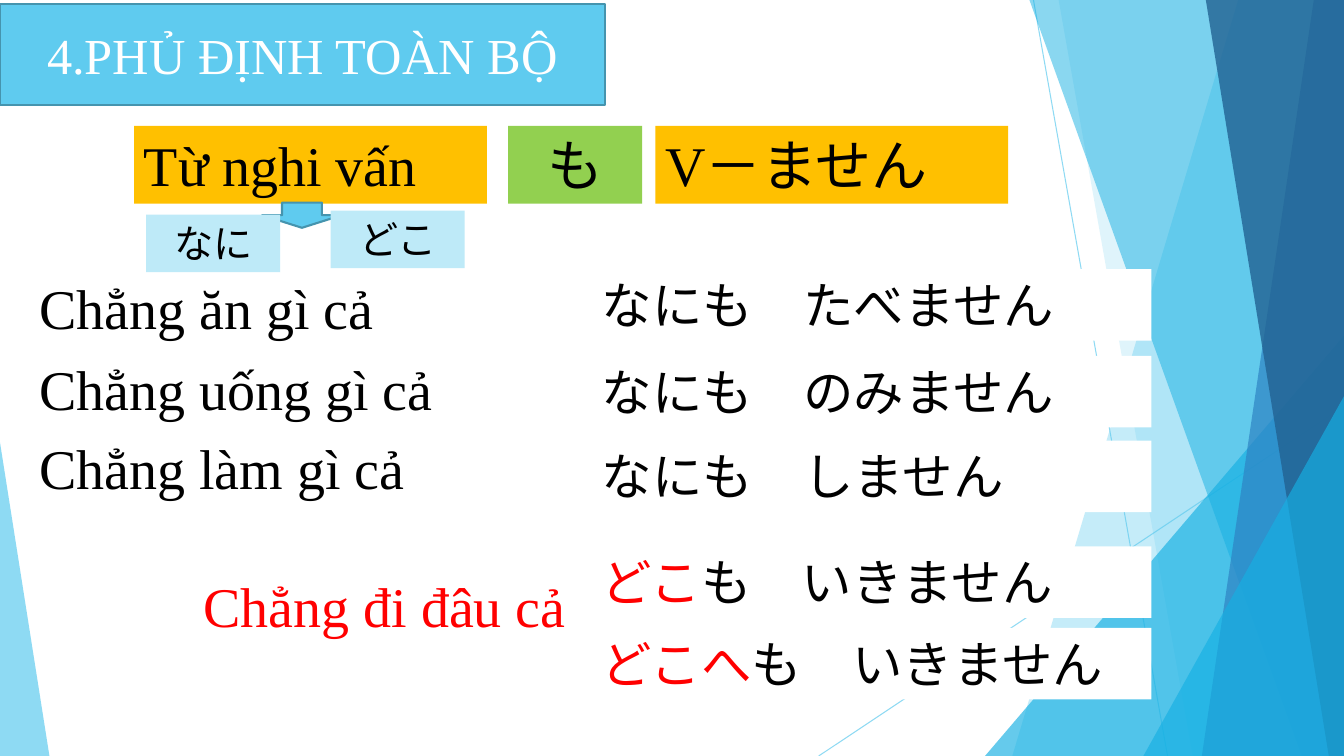
from dataclasses import dataclass

from lxml import etree
from pptx import Presentation
from pptx import util as u
from pptx.dml.color import RGBColor
from pptx.enum import shapes, text
from pptx.oxml.ns import qn

In = u.Inches
WIDTH, HEIGHT = 13.33, 7.5


@dataclass(frozen=True)
class Theme:
    font: str = "Times New Roman"
    ink: str = "000000"
    white: str = "FFFFFF"
    red: str = "FF0000"
    sky: str = "5FCBEF"
    pale_sky: str = "BEEAF8"
    outline: str = "4594AE"
    cyan: str = "16B0E3"
    blue: str = "2E83C3"
    navy: str = "226292"
    amber: str = "FFC000"
    green: str = "92D050"
    large: int = 40
    medium: int = 36
    small: int = 28


THEME = Theme()
LEFT, CENTER = text.PP_ALIGN.LEFT, text.PP_ALIGN.CENTER
SHAPE = shapes.MSO_SHAPE


def paint(fill, color, opacity=100):
    fill.solid()
    fill.fore_color.rgb = RGBColor.from_string(color)
    if opacity < 100:
        for node in fill._xPr.iter(qn("a:srgbClr")):
            etree.SubElement(node, qn("a:alpha"), val=str(opacity * 1000))


def style_shape(shape, color, opacity=100, outline=None):
    paint(shape.fill, color, opacity)
    if outline:
        paint(shape.line.fill, outline)
        shape.line.width = u.Pt(1.5)
    else:
        shape.line.fill.background()


def add_preset(page, kind, area, color, adjust=None, **style):
    shape = page.shapes.add_shape(kind, *map(In, area))
    shape.shadow.inherit = False
    if adjust is not None:
        shape.adjustments[0] = adjust
    style_shape(shape, color, **style)
    return shape


def add_polygon(page, points, color, opacity):
    corners = [(In(x), In(y)) for x, y in points]
    builder = page.shapes.build_freeform(*corners[0], scale=1.0)
    builder.add_line_segments(corners[1:], close=True)
    shape = builder.convert_to_shape()
    shape.shadow.inherit = False
    style_shape(shape, color, opacity)


def add_thin_line(page, start, end):
    line = page.shapes.add_connector(
        shapes.MSO_CONNECTOR.STRAIGHT, *map(In, start + end))
    paint(line.line.fill, THEME.sky, 70)
    line.line.width = u.Pt(0.75)
    etree.SubElement(line._element.spPr, qn("a:effectLst"))


def write(shape, *parts, size=THEME.large, align=LEFT, anchor=text.MSO_ANCHOR.TOP):
    """Fill one paragraph from (wording, colour) parts."""
    frame = shape.text_frame
    frame.word_wrap = True
    frame.vertical_anchor = anchor
    para = frame.paragraphs[0]
    para.alignment = align
    for wording, color in parts:
        span = para.add_run()
        span.text = wording
        span.font.name = THEME.font
        span.font.size = u.Pt(size)
        span.font.color.rgb = RGBColor.from_string(color)


def add_label(page, area, color, *parts, **text_format):
    box = add_preset(page, SHAPE.RECTANGLE, area, color)
    write(box, *parts, **text_format)


def add_phrase(page, area, wording, color=THEME.ink):
    write(page.shapes.add_textbox(*map(In, area)), (wording, color))


def add_facets(page):
    """Draw the translucent blue facets along both edges."""
    add_thin_line(page, (10.25, 0), (11.58, HEIGHT))
    add_thin_line(page, (WIDTH, 4.03), (8.12, HEIGHT))

    def facet(top, bottom, color, opacity):
        points = [(top, 0), (WIDTH, 0), (WIDTH, HEIGHT), (bottom, HEIGHT)]
        add_polygon(page, points, color, opacity)

    def corner(left, top, width, color, opacity, apex):
        area = (left, top, width, HEIGHT - top)
        add_preset(page, SHAPE.ISOSCELES_TRIANGLE, area, color,
                   adjust=apex, opacity=opacity)

    facet(12.28, 10.04, THEME.sky, 36)
    facet(10.5, 11.83, THEME.sky, 20)
    corner(9.77, 3.33, 3.56, THEME.cyan, 66, apex=1)
    facet(10.21, 12.91, THEME.cyan, 50)
    facet(13.03, 11.92, THEME.blue, 70)
    facet(11.96, 13.18, THEME.navy, 80)
    corner(11.34, 3.93, 1.99, THEME.cyan, 66, apex=1)
    corner(0, 4.39, 0.49, THEME.sky, 70, apex=0)


def add_title(page, wording):
    """Turn the title placeholder into a rounded banner."""
    title = page.shapes.title
    title.left, title.top, title.width, title.height = map(In, (0, 0.04, 6, 1))
    outline = etree.SubElement(title._element.spPr, qn("a:prstGeom"), prst="roundRect")
    etree.SubElement(outline, qn("a:avLst"))
    style_shape(title, THEME.sky, outline=THEME.outline)
    write(title, (wording, THEME.white), size=THEME.medium, align=CENTER,
          anchor=text.MSO_ANCHOR.MIDDLE)


def main():
    deck = Presentation()
    deck.slide_width, deck.slide_height = In(WIDTH), In(HEIGHT)
    page = deck.slides.add_slide(deck.slide_layouts.get_by_name("Title Only"))
    add_facets(page)
    add_title(page, "4.PHỦ ĐỊNH TOÀN BỘ")

    ink, red = THEME.ink, THEME.red
    for left, width, color, wording, align in (
        (1.33, 3.5, THEME.amber, "Từ nghi vấn", LEFT),
        (5.04, 1.33, THEME.green, "も", CENTER),
        (6.5, 3.5, THEME.amber, "V－ません", LEFT),
    ):
        add_label(page, (left, 1.25, width, 0.77), color, (wording, ink), align=align)

    for top, wording in ((2.66, "Chẳng ăn gì cả"), (3.47, "Chẳng uống gì cả"),
                         (4.25, "Chẳng làm gì cả")):
        add_phrase(page, (0.29, top, 4.62, 0.77), wording)
    add_phrase(page, (1.92, 5.62, 4.17, 0.77), "Chẳng đi đâu cả", red)

    add_preset(page, SHAPE.DOWN_ARROW, (2.6, 2.01, 0.79, 0.25), THEME.sky,
               outline=THEME.outline)
    for left, top, wording in ((1.45, 2.13, "なに"), (3.28, 2.09, "どこ")):
        add_label(page, (left, top, 1.33, 0.57), THEME.pale_sky, (wording, ink),
                  size=THEME.small, align=CENTER)

    for top, *parts in (
        (2.67, ("なにも　たべません", ink)),
        (3.53, ("なにも　のみません", ink)),
        (4.37, ("なにも　しません", ink)),
        (5.42, ("どこ", red), ("も　いきません", ink)),
        (6.23, ("どこへ", red), ("も　いきません", ink)),
    ):
        add_label(page, (5.87, top, 5.55, 0.71), THEME.white, *parts,
                  size=THEME.medium)

    deck.save("out.pptx")


if __name__ == "__main__":
    main()
